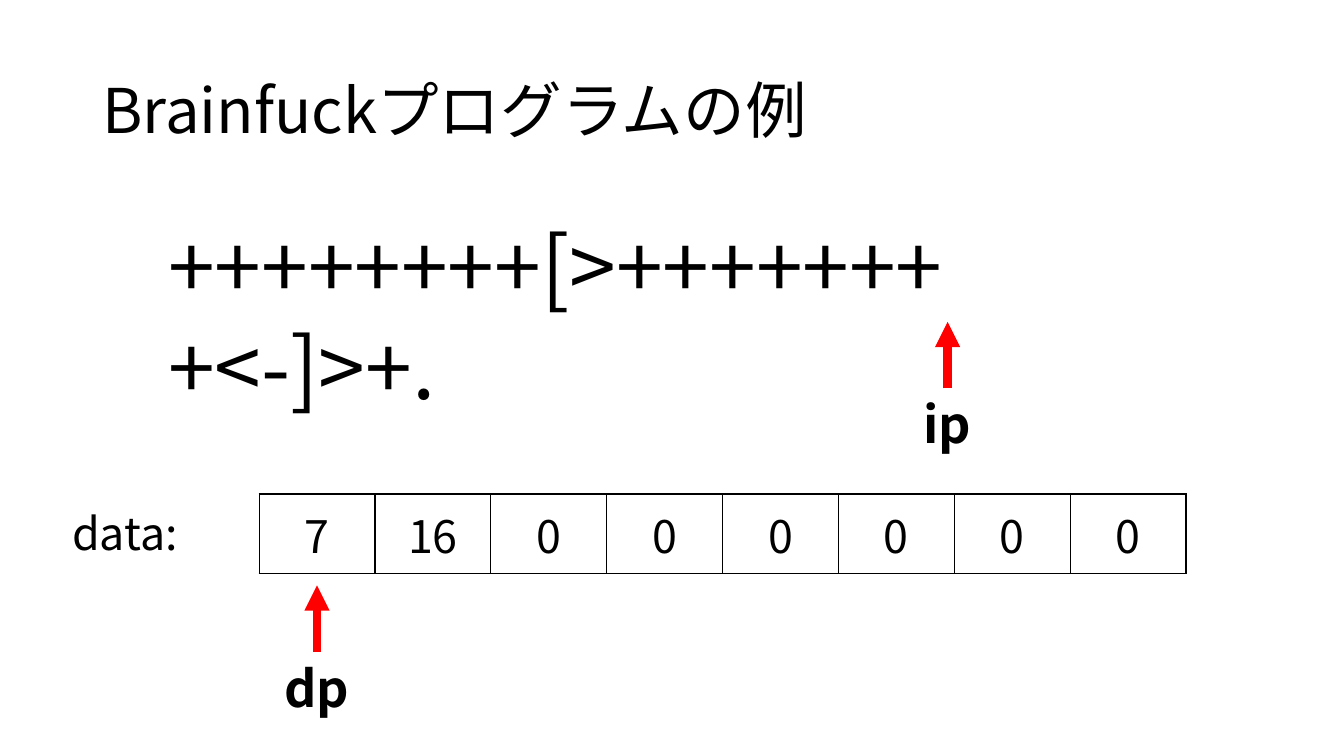
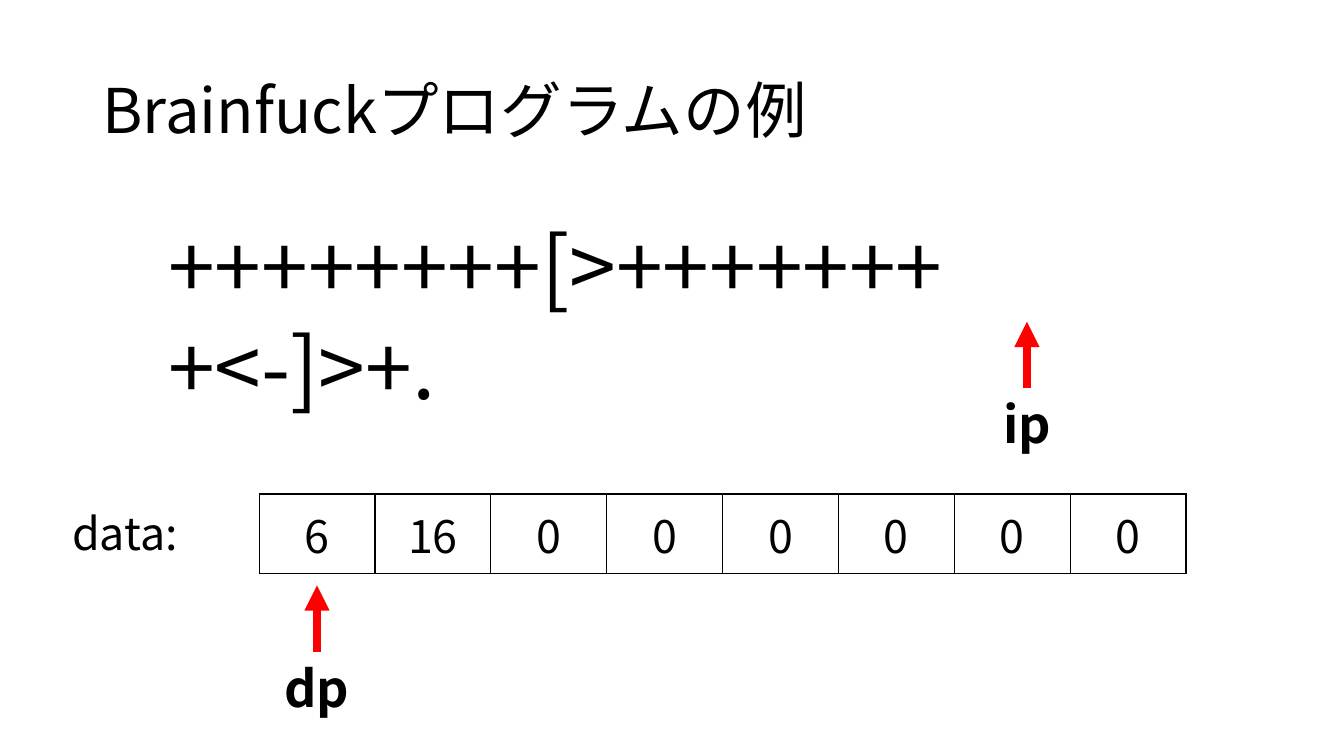
from dataclasses import dataclass

from lxml import etree
from pptx import Presentation
from pptx import util as u
from pptx.dml.color import RGBColor
from pptx.enum import shapes, text
from pptx.oxml import ns


@dataclass(frozen=True)
class Theme:
    font: str = "Noto Sans CJK JP"
    ink: RGBColor = RGBColor(0, 0, 0)
    pointer: RGBColor = RGBColor(255, 0, 0)
    title: int = 44
    code: int = 60
    data: int = 32
    label: int = 36
    border: int = 1
    arrow: int = 6


@dataclass(frozen=True)
class Box:
    left: float
    top: float
    width: float
    height: float

    def lengths(self):
        return [u.Cm(n) for n in (self.left, self.top, self.width, self.height)]


THEME = Theme()
TITLE = "Brainfuckプログラムの例"
PROGRAM = "++++++++[>++++++++<-]>+."
TITLE_BOX = Box(2.33, 1.02, 29.21, 3.68)
PROGRAM_BOX = Box(3.99, 5.28, 25.91, 2.82)
DATA_LABEL_BOX = Box(1.57, 12.62, 3.86, 1.63)
DATA_BOX = Box(6.53, 12.45, 23.36, 2)
ARROW_LENGTH = 1.68
LABEL_HEIGHT = 1.8
POINTER_GAP = 0.3
IP_TOP = 8.11
STEPS = [
    {"cells": [7, 16, 0, 0, 0, 0, 0, 0], "ip": 23.88},
    {"cells": [6, 16, 0, 0, 0, 0, 0, 0], "ip": 25.88},
]


def style_text(para, size, bold=False):
    for span in para.runs:
        span.font.size = u.Pt(size)
        span.font.bold = bold
        span.font.name = THEME.font
        span.font.color.rgb = THEME.ink
        east_asian = etree.SubElement(span.font._element, ns.qn("a:ea"))
        east_asian.set("typeface", THEME.font)


def add_text(page, box, words, size, bold=False, align=text.PP_ALIGN.LEFT,
             anchor=text.MSO_ANCHOR.TOP, wrap=True):
    shape = page.shapes.add_textbox(*box.lengths())
    frame = shape.text_frame
    frame.word_wrap = wrap
    frame.vertical_anchor = anchor
    frame.text = words
    para = frame.paragraphs[0]
    para.alignment = align
    style_text(para, size, bold)
    return shape


def add_title(page, box):
    shape = add_text(page, box, TITLE, THEME.title, anchor=text.MSO_ANCHOR.MIDDLE)
    shape.text_frame.paragraphs[0].line_spacing = 0.9


def border_cell(cell):
    properties = cell._tc.get_or_add_tcPr()
    for index, side in enumerate(("lnL", "lnR", "lnT", "lnB")):
        line = etree.Element(ns.qn(f"a:{side}"), w=str(u.Pt(THEME.border)))
        fill = etree.SubElement(line, ns.qn("a:solidFill"))
        etree.SubElement(fill, ns.qn("a:srgbClr"), val=str(THEME.ink))
        properties.insert(index, line)


def add_data(page, box, values):
    table = page.shapes.add_table(1, len(values), *box.lengths()).table
    table.first_row = table.horz_banding = False
    for column, value in enumerate(values):
        table.columns[column].width = u.Cm(box.width / len(values))
        cell = table.cell(0, column)
        cell.text = str(value)
        cell.vertical_anchor = text.MSO_ANCHOR.MIDDLE
        cell.fill.background()
        border_cell(cell)
        para = cell.text_frame.paragraphs[0]
        para.alignment = text.PP_ALIGN.CENTER
        style_text(para, THEME.data)


def add_pointer(page, box, name):
    label_box = Box(box.left, box.top + ARROW_LENGTH, box.width, LABEL_HEIGHT)
    label = add_text(page, label_box, name, THEME.label, bold=True,
                     align=text.PP_ALIGN.CENTER, wrap=False)
    center = u.Cm(box.left + box.width / 2)
    arrow = page.shapes.add_connector(
        shapes.MSO_CONNECTOR.STRAIGHT,
        center, u.Cm(label_box.top), center, u.Cm(box.top))
    arrow.begin_connect(label, 0)
    arrow.line.color.rgb = THEME.pointer
    arrow.line.width = u.Pt(THEME.arrow)
    etree.SubElement(arrow.line._get_or_add_ln(), ns.qn("a:tailEnd"), type="triangle")
    etree.SubElement(arrow._element.spPr, ns.qn("a:effectLst"))


def pointer_box(center, top, width):
    return Box(center - width / 2, top, width, ARROW_LENGTH + LABEL_HEIGHT)


def add_step(deck, cells, ip):
    page = deck.slides.add_slide(deck.slide_layouts[6])
    add_title(page, TITLE_BOX)
    add_data(page, DATA_BOX, cells)
    add_text(page, PROGRAM_BOX, PROGRAM, THEME.code)
    add_text(page, DATA_LABEL_BOX, "data:", THEME.data)
    first_cell = DATA_BOX.left + DATA_BOX.width / len(cells) / 2
    data_bottom = DATA_BOX.top + DATA_BOX.height
    add_pointer(page, pointer_box(first_cell, data_bottom + POINTER_GAP, 2.16), "dp")
    add_pointer(page, pointer_box(ip, IP_TOP, 1.75), "ip")


def main():
    deck = Presentation()
    deck.slide_width, deck.slide_height = u.Cm(33.87), u.Cm(19.05)
    for step in STEPS:
        add_step(deck, **step)
    deck.save("out.pptx")


if __name__ == "__main__":
    main()
